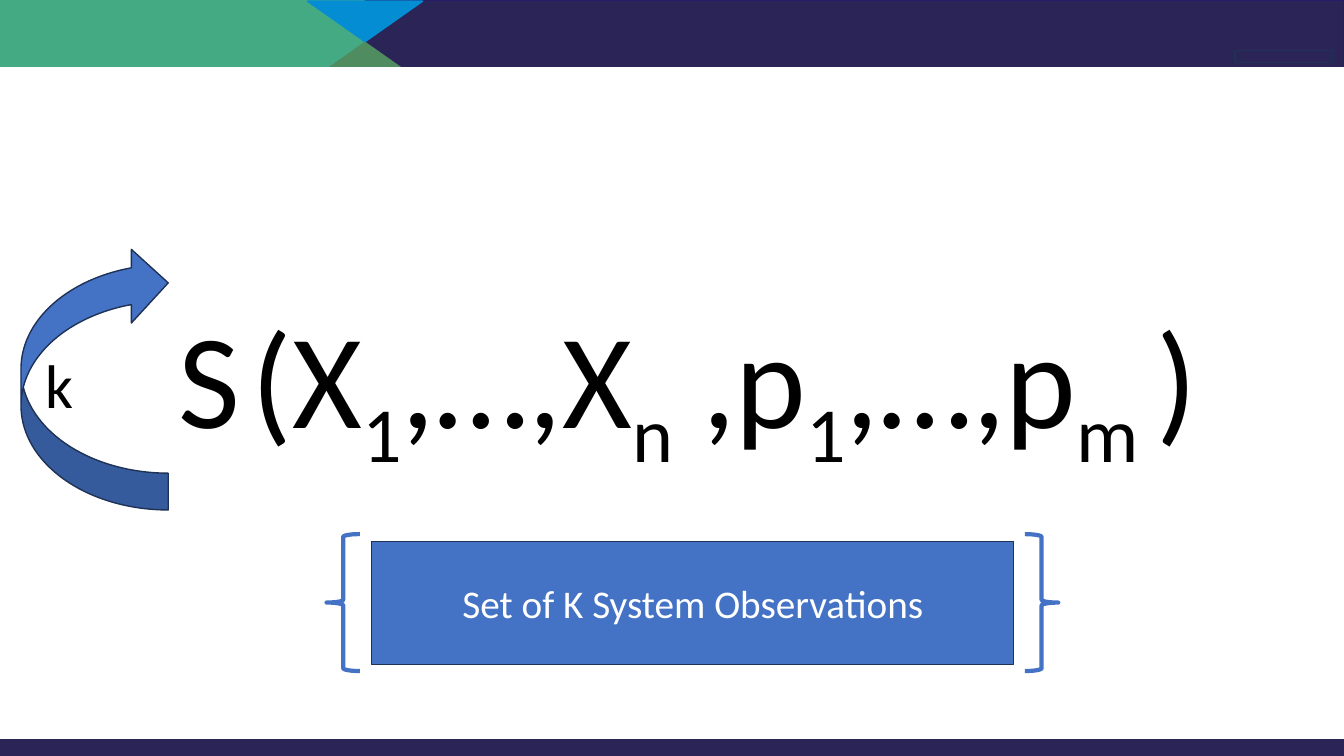
from pptx import Presentation
from pptx.dml.color import RGBColor
from pptx.enum.shapes import MSO_SHAPE
from pptx.enum.text import MSO_ANCHOR, MSO_AUTO_SIZE, PP_ALIGN
from pptx.util import Cm, Pt

WIDTH, HEIGHT = 33.87, 19.05
COLORS = {
    "navy": "2B2457",
    "indigo": "231D6C",
    "green": "44AA84",
    "moss": "4F8C60",
    "sky": "058DD3",
    "blue": "4472C4",
    "edge": "1E3256",
    "white": "FFFFFF",
    "black": "000000",
}


def rgb(name):
    return RGBColor.from_string(COLORS[name])


def add_text(tf, text, size, color="black", align=PP_ALIGN.LEFT):
    p = tf.paragraphs[0]
    p.alignment = align
    for i, part in enumerate(text.split("_")):
        if not part:
            continue
        r = p.add_run()
        r.text = part
        r.font.name = "Calibri"
        r.font.size = Pt(size)
        r.font.color.rgb = rgb(color)
        if i % 2:
            r._r.get_or_add_rPr().set("baseline", "-25000")


def add_shape(s, kind, left, top, width, height, fill=None, line=None,
              weight=1, rotation=0):
    sp = s.shapes.add_shape(kind, Cm(left), Cm(top), Cm(width), Cm(height))
    sp.shadow.inherit = False
    sp.rotation = rotation
    if fill:
        sp.fill.solid()
        sp.fill.fore_color.rgb = rgb(fill)
    else:
        sp.fill.background()
    sp.line.color.rgb = rgb(line or fill)
    sp.line.width = Pt(weight)
    return sp


def add_label(s, text, left, top, width, height, size):
    tf = s.shapes.add_textbox(Cm(left), Cm(top), Cm(width), Cm(height)).text_frame
    tf.word_wrap = False
    tf.auto_size = MSO_AUTO_SIZE.SHAPE_TO_FIT_TEXT
    add_text(tf, text, size)


def add_frame(s):
    rect, triangle = MSO_SHAPE.RECTANGLE, MSO_SHAPE.ISOSCELES_TRIANGLE
    add_shape(s, rect, 0, 18.64, WIDTH, 0.41, "navy")
    add_shape(s, rect, 0, 0, WIDTH, 1.73, "navy", "indigo")
    add_shape(s, rect, 0, 0.03, 9.19, 1.73, "green")
    add_shape(s, triangle, 7.75, 1.07, 2.9, 1.02, "moss")
    add_shape(s, triangle, 7.75, 0.03, 2.9, 1.02, "sky", rotation=180)
    add_shape(s, rect, 31.12, 1.27, 2.46, 0.3, "navy", "edge")
    add_shape(s, rect, 0, 1.7, WIDTH, 0.41, "white")


def add_formula(s):
    for text, left, width in (
        ("S", 4.24, 2.08),
        ("(X_1_,…,X_n", 6.1, 11.56),
        (",p_1_,…,p_m _)", 17.45, 13.56),
    ):
        add_label(s, text, left, 7.29, width, 4.37, 96)


def add_loop(s):
    add_shape(s, MSO_SHAPE.CURVED_DOWN_ARROW, -0.94, 7.67, 6.65, 3.71,
              "blue", "edge", rotation=270)
    add_label(s, "k", 0.91, 8.61, 1.22, 2.13, 44)


def add_observations(s):
    box = add_shape(s, MSO_SHAPE.RECTANGLE, 9.37, 13.64, 16.18, 3.1, "blue", "edge")
    tf = box.text_frame
    tf.word_wrap = True
    tf.vertical_anchor = MSO_ANCHOR.MIDDLE
    add_text(tf, "Set of K System Observations", 28, "white", PP_ALIGN.CENTER)
    for kind, left in ((MSO_SHAPE.LEFT_BRACE, 8.23), (MSO_SHAPE.RIGHT_BRACE, 25.83)):
        add_shape(s, kind, left, 13.46, 0.84, 3.45, line="blue", weight=3)


def main():
    prs = Presentation()
    prs.slide_width, prs.slide_height = Cm(WIDTH), Cm(HEIGHT)
    s = prs.slides.add_slide(prs.slide_layouts[6])
    add_frame(s)
    add_formula(s)
    add_loop(s)
    add_observations(s)
    prs.save("out.pptx")


if __name__ == "__main__":
    main()
